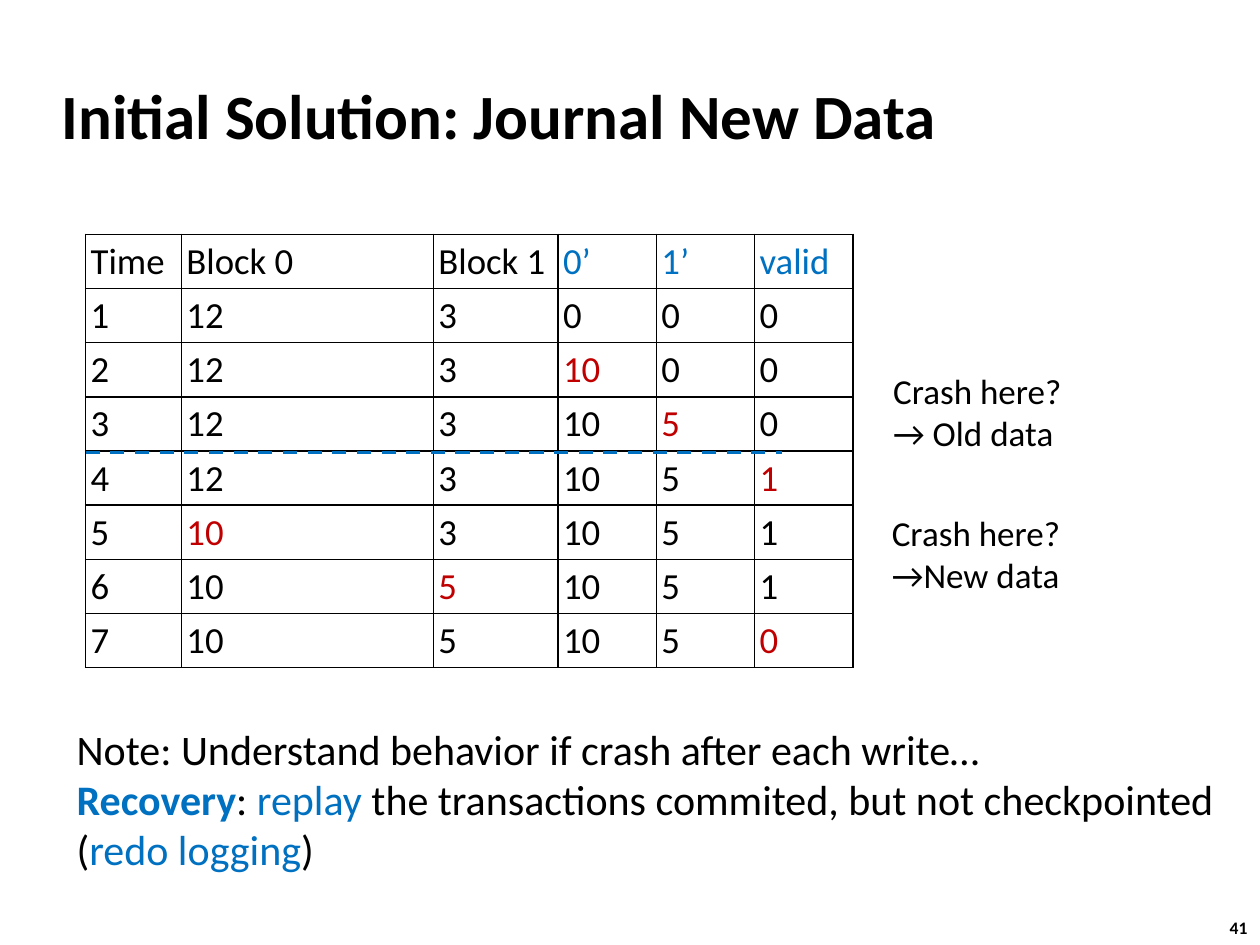
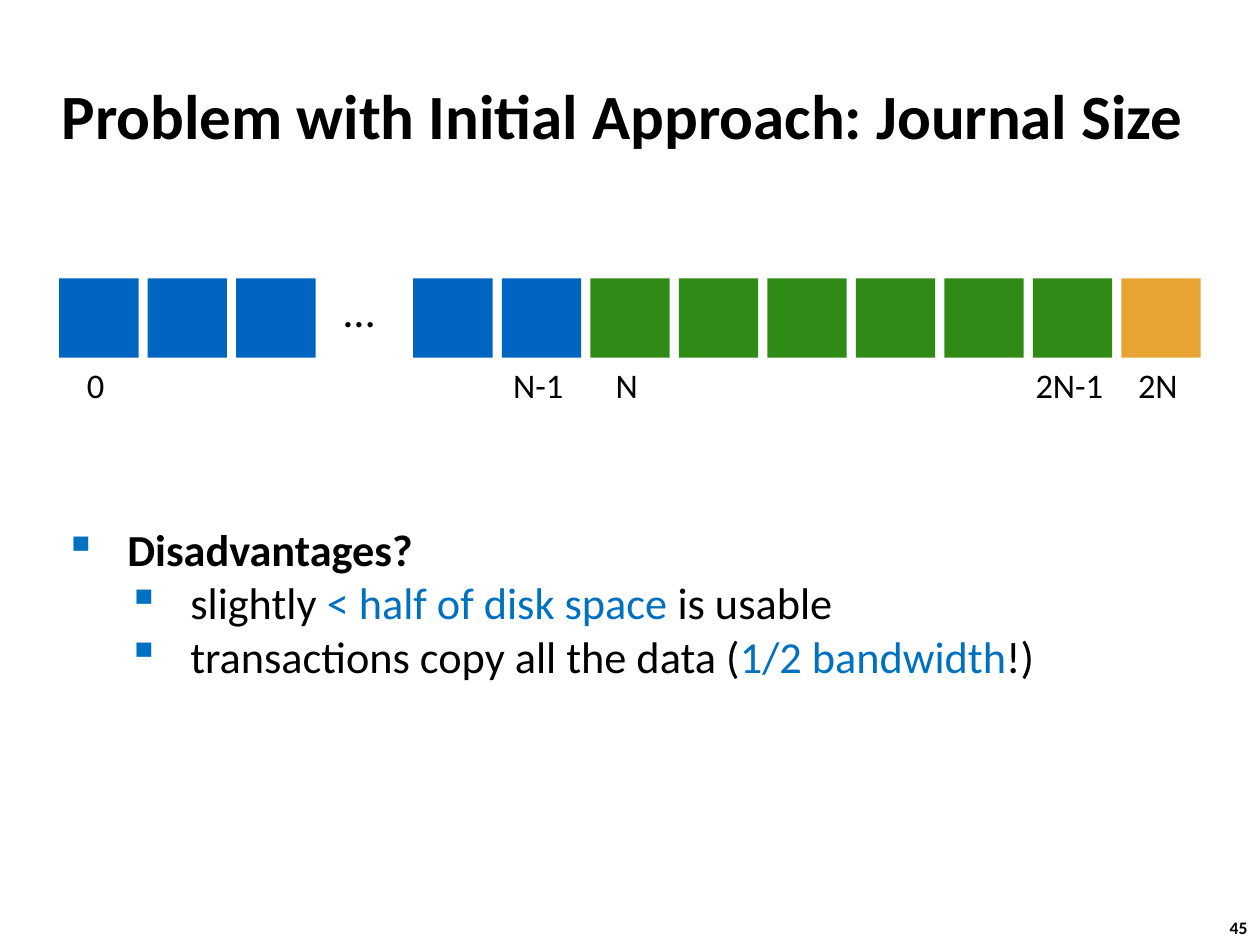
from lxml.etree import SubElement
from pptx import Presentation
from pptx.dml.color import RGBColor as RGB
from pptx.enum.dml import MSO_LINE_DASH_STYLE as DASH
from pptx.enum.shapes import MSO_CONNECTOR as LINK, MSO_SHAPE as SHAPE
from pptx.enum.text import MSO_ANCHOR as ANCHOR, PP_ALIGN as ALIGN
from pptx.oxml import parse_xml
from pptx.oxml.ns import nsdecls, qn
from pptx.util import Inches, Pt

COLORS = {
    "black": "000000", "blue": "0070C0", "red": "C00000",
    "data": "0065C1", "journal": "308B16", "commit": "E8A433",
}
FACE = "Calibri"
PAD = 0.04


class Deck:
    def __init__(self):
        self.prs = Presentation()
        self.prs.slide_width = Inches(10)
        self.prs.slide_height = Inches(7.5)
        self.slide = None

    def color(self, name):
        return RGB.from_string(COLORS[name])

    def page(self, title, number):
        self.slide = self.prs.slides.add_slide(self.prs.slide_layouts[6])
        self.text(9.76, 7.23, 0.24, 0.27, [number], 10, bold=True, pad=(0, 0.05))
        self.text(0.39, 0.49, 9.61, 0.83, [title], 36, bold=True, anchor=ANCHOR.MIDDLE)

    def font(self, para, size, color="black", bold=False):
        font = para.font
        font.name, font.size, font.bold = FACE, Pt(size), bold
        font.color.rgb = self.color(color)

    def fill_para(self, para, item):
        """Write a string, or a list of strings and (text, color, bold) runs."""
        if isinstance(item, str):
            para.text = item
            return
        for part in item:
            run = para.add_run()
            if isinstance(part, str):
                run.text = part
            else:
                run.text, color, bold = part
                run.font.color.rgb = self.color(color)
                if bold:
                    run.font.bold = True

    def text(self, x, y, w, h, items, size, bold=False, anchor=ANCHOR.TOP,
             align=ALIGN.LEFT, pad=(0.1, 0.05)):
        box = self.slide.shapes.add_textbox(Inches(x), Inches(y), Inches(w), Inches(h))
        frame = box.text_frame
        frame.word_wrap = True
        frame.vertical_anchor = anchor
        frame.margin_left = frame.margin_right = Inches(pad[0])
        frame.margin_top = frame.margin_bottom = Inches(pad[1])
        for i, item in enumerate(items):
            para = frame.add_paragraph() if i else frame.paragraphs[0]
            self.fill_para(para, item)
            para.alignment = align
            self.font(para, size, bold=bold)
        return frame

    def bullets(self, x, y, w, h, items, size):
        """Draw a bold heading with the other items one level below it."""
        frame = self.text(x, y, w, h, [], size, anchor=ANCHOR.MIDDLE, pad=(PAD, PAD))
        for i, item in enumerate(items):
            para = frame.add_paragraph() if i else frame.paragraphs[0]
            self.fill_para(para, item)
            para.level = min(i, 1)
            props = para._p.get_or_add_pPr()
            props.set("marL", str(Inches(0.5 * (para.level + 1))))
            props.set("indent", str(Inches(-0.5)))
            tint = SubElement(props, qn("a:buClr"))
            SubElement(tint, qn("a:srgbClr"), val=COLORS["blue"])
            SubElement(props, qn("a:buChar"), char="▪")
            self.font(para, size, bold=i == 0)

    def block(self, x, y, side, color):
        box = self.slide.shapes.add_shape(
            SHAPE.RECTANGLE, Inches(x), Inches(y), Inches(side), Inches(side))
        box.shadow.inherit = False
        box.fill.solid()
        box.fill.fore_color.rgb = self.color(color)
        box.line.fill.background()

    def dash(self, x1, y1, x2, y2, color, width):
        line = self.slide.shapes.add_connector(
            LINK.STRAIGHT, Inches(x1), Inches(y1), Inches(x2), Inches(y2))
        line.line.color.rgb = self.color(color)
        line.line.width = Pt(width)
        line.line.dash_style = DASH.DASH
        SubElement(line._element.spPr, qn("a:effectLst"))

    def border(self, cell):
        props = cell._tc.get_or_add_tcPr()
        for i, side in enumerate("LRTB"):
            props.insert(i, parse_xml(
                f'<a:ln{side} {nsdecls("a")} w="{Pt(1)}"><a:solidFill>'
                f'<a:srgbClr val="{COLORS["black"]}"/></a:solidFill></a:ln{side}>'))

    def table(self, x, y, widths, height, rows, size, shade):
        """Draw a ruled grid; shade(row, column) names each text color."""
        grid = self.slide.shapes.add_table(
            len(rows), len(widths), Inches(x), Inches(y),
            Inches(sum(widths)), Inches(height * len(rows))).table
        grid.first_row = grid.horz_banding = False
        for col, width in zip(grid.columns, widths):
            col.width = Inches(width)
        for r, row in enumerate(rows):
            grid.rows[r].height = Inches(height)
            for c, value in enumerate(row):
                cell = grid.cell(r, c)
                cell.margin_left = cell.margin_right = Inches(PAD)
                cell.margin_top = cell.margin_bottom = Inches(PAD)
                cell.fill.background()
                self.border(cell)
                para = cell.text_frame.paragraphs[0]
                para.text = str(value)
                self.font(para, size, shade(r, c))


def journal(deck):
    deck.page("Initial Solution: Journal New Data", "41")
    rows = [
        ("Time", "Block 0", "Block 1", "0’", "1’", "valid"),
        (1, 12, 3, 0, 0, 0),
        (2, 12, 3, 10, 0, 0),
        (3, 12, 3, 10, 5, 0),
        (4, 12, 3, 10, 5, 1),
        (5, 10, 3, 10, 5, 1),
        (6, 10, 5, 10, 5, 1),
        (7, 10, 5, 10, 5, 0),
    ]

    def shade(r, c):
        """Blue for journal headings, red for a value just written."""
        if r == 0:
            return "blue" if c > 2 else "black"
        wrote = r > 1 and c > 0 and rows[r][c] != rows[r - 1][c]
        return "red" if wrote else "black"

    deck.table(0.68, 1.86, (0.76, 2, 0.99, 0.78, 0.78, 0.78), 0.43, rows, 21, shade)
    deck.text(6.99, 2.88, 1.6, 0.77, ["Crash here?\n→ Old data"], 20)
    deck.text(6.98, 4.01, 1.6, 0.77, ["Crash here?\n→New data"], 20)
    deck.text(0.51, 5.69, 9.36, 1.31, [
        "Note: Understand behavior if crash after each write…",
        [("Recovery", "blue", True), ": ", ("replay", "blue", False),
         " the transactions commited, but not checkpointed (",
         ("redo logging", "blue", False), ")"],
    ], 24)
    deck.dash(0.68, 3.59, 6.21, 3.59, "blue", 2)


def size(deck):
    deck.page("Problem with Initial Approach: Journal Size", "45")
    left, top, side, step = 0.47, 2.21, 0.63, 0.7025
    slots = ["data"] * 3 + [None] + ["data"] * 2 + ["journal"] * 6 + ["commit"]
    for i, kind in enumerate(slots):
        if kind:
            deck.block(left + i * step, top, side, kind)
    mid = {"anchor": ANCHOR.MIDDLE, "pad": (PAD, PAD)}
    deck.text(2.69, top, 1.04, 0.5, ["…"], 25.3, **mid)
    for i, label in {0: "0", 5: "N-1", 6: "N", 11: "2N-1", 12: "2N"}.items():
        deck.text(left + i * step - 0.06, 2.85, 0.7, 0.41, [label], 19.7,
                  align=ALIGN.CENTER, **mid)
    deck.bullets(0.47, 4.1, 7.85, 1.36, [
        "Disadvantages?",
        ["slightly ", ("< half of disk space ", "blue", False), "is usable"],
        ["transactions copy all the data (", ("1/2 bandwidth", "blue", False), "!)"],
    ], 25.3)


def main():
    deck = Deck()
    journal(deck)
    size(deck)
    deck.prs.save("out.pptx")


if __name__ == "__main__":
    main()
